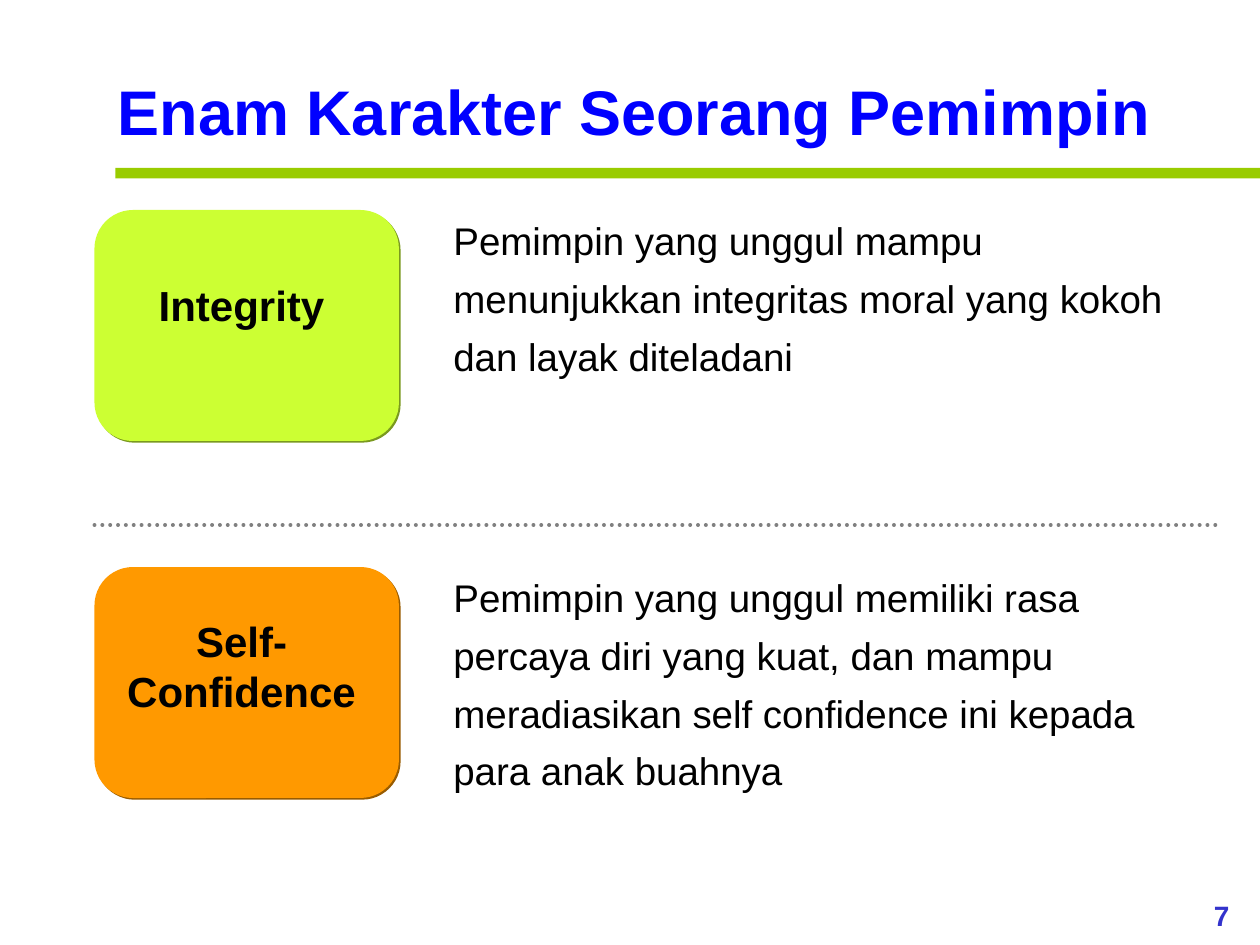
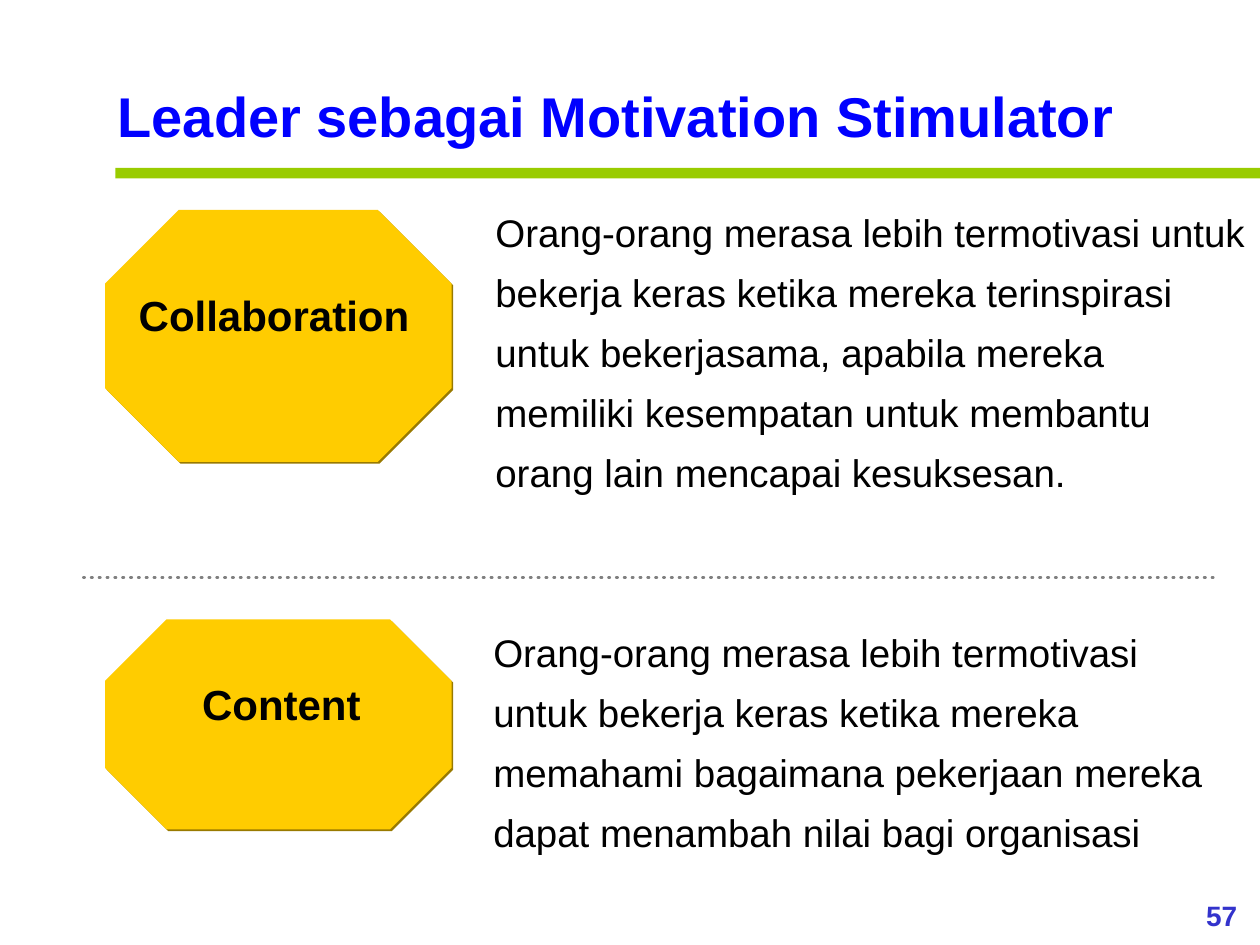
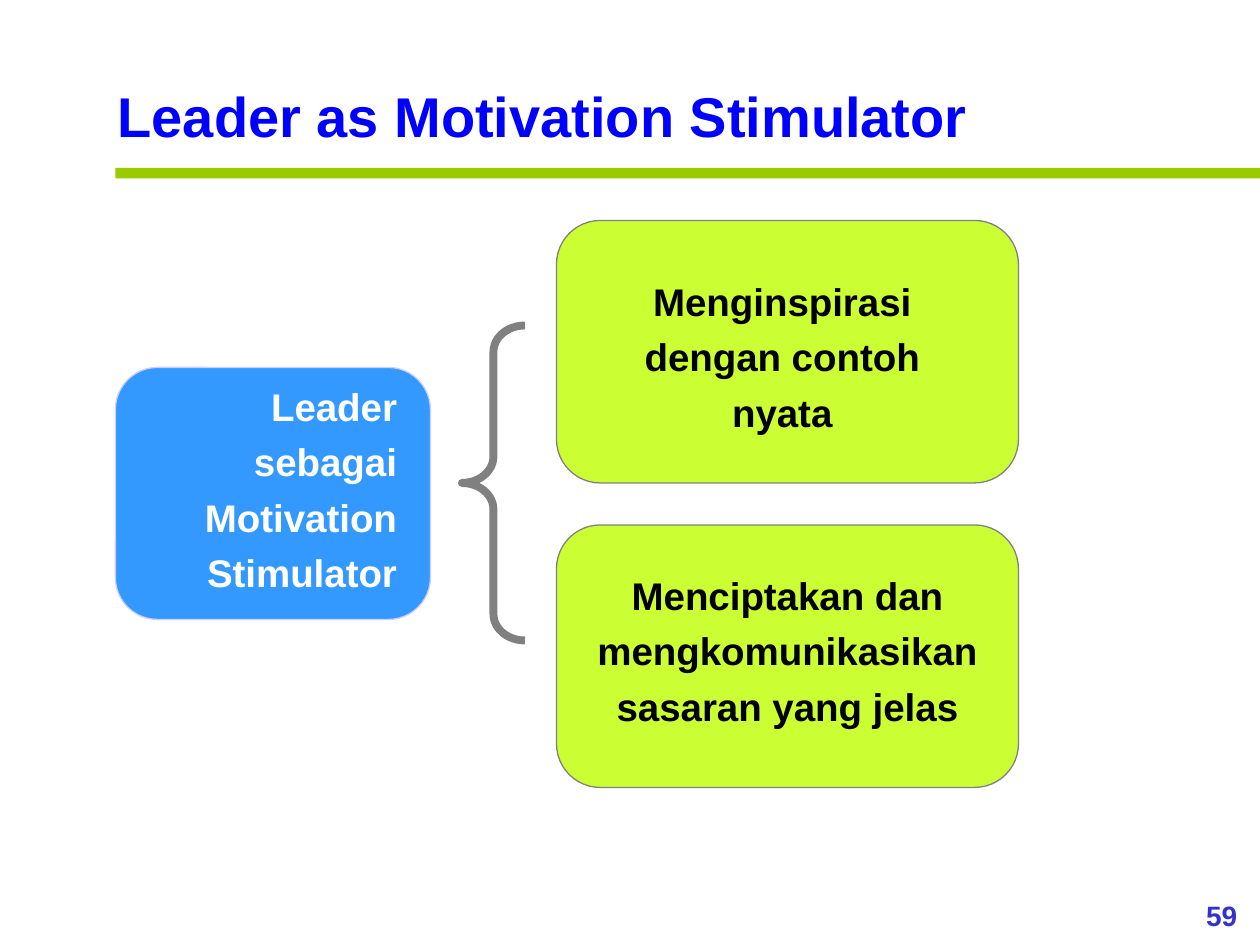
from lxml.etree import SubElement
from pptx import Presentation
from pptx.dml.color import RGBColor
from pptx.enum.dml import MSO_LINE
from pptx.enum.shapes import MSO_CONNECTOR, MSO_SHAPE
from pptx.enum.text import MSO_ANCHOR, MSO_AUTO_SIZE, PP_ALIGN
from pptx.oxml.ns import qn
from pptx.util import Inches, Pt

FONT = "Arial"
HUES = {
    "title": "0000FF", "band": "99CC00", "number": "3333CC",
    "ink": "000000", "white": "FFFFFF", "grey": "808080", "edge": "CCCCFF",
    "lime": "CCFF33", "lime shade": "7A991F",
    "orange": "FF9900", "orange shade": "995C00",
    "gold": "FFCC00", "gold shade": "997A00",
    "blue": "3399FF",
}
ROUND, OCTA = MSO_SHAPE.ROUNDED_RECTANGLE, MSO_SHAPE.OCTAGON
LEFT, MID, RIGHT = PP_ALIGN.LEFT, PP_ALIGN.CENTER, PP_ALIGN.RIGHT

# All places are left, top, width, height on a grid of twelve steps to the inch.
STEP = Inches(1) / 12
COLS, ROWS = 120, 90
TITLE = (10, 6, 104, 8.75)
BAND = (11, 16, 109, 1)
NUMBER = (112.7, 85, 7.3, 4.4)

PAIRS = [
    {"title": "Enam Karakter Seorang Pemimpin", "size": 36, "number": "7",
     "form": ROUND, "rule": (9, 116, 50), "lead": 1.25,
     "rows": [
         ("lime", (9, 20, 29, 22), "Integrity", (10, 26, 26, 6),
          "Pemimpin yang unggul mampu menunjukkan integritas moral yang "
          "kokoh dan layak diteladani", (42, 19, 74, 18)),
         ("orange", (9, 54, 29, 22), "Self-Confidence", (10, 58, 26, 11),
          "Pemimpin yang unggul memiliki rasa percaya diri yang kuat, dan "
          "mampu meradiasikan self confidence ini kepada para anak buahnya",
          (42, 53, 74, 23)),
     ]},
    {"title": "Leader sebagai Motivation Stimulator", "size": 32, "number": "57",
     "form": OCTA, "rule": (8, 116, 55), "lead": 1.3,
     "rows": [
         ("gold", (10, 20, 33, 24), "Collaboration", (11.1, 27, 30, 6),
          "Orang-orang merasa lebih termotivasi untuk bekerja keras ketika "
          "mereka terinspirasi untuk bekerjasama, apabila mereka memiliki "
          "kesempatan untuk membantu orang lain mencapai kesuksesan.",
          (46, 18, 74, 30)),
         ("gold", (10, 59, 33, 20), "Content", (11.8, 64, 30, 6),
          "Orang-orang merasa lebih termotivasi untuk bekerja keras ketika "
          "mereka memahami bagaimana pekerjaan mereka dapat menambah nilai "
          "bagi organisasi", (45.8, 58, 70.2, 24)),
     ]},
]
TREE = {
    "title": "Leader as Motivation Stimulator", "size": 32, "number": "59",
    "brace": (44, 31, 6, 30), "lead": 1.2,
    "cards": [
        ("lime", "grey", (53, 21, 44, 25), "Menginspirasi dengan contoh nyata",
         (58, 25, 33, 17), "ink", MID),
        ("blue", "edge", (11, 35, 30, 24), "Leader sebagai Motivation Stimulator",
         (11, 35, 28, 22.3), "white", RIGHT),
        ("lime", "grey", (53, 50, 44, 25),
         "Menciptakan dan mengkomunikasikan sasaran yang jelas",
         (55, 53, 40, 17), "ink", MID),
    ],
}


def hue(name):
    return RGBColor.from_string(HUES[name])


def grid(*steps):
    return [round(step * STEP) for step in steps]


def style(frame, text, size, color, bold=False, align=LEFT, lead=None):
    """Fill a text frame with one formatted paragraph."""
    frame.word_wrap = True
    frame.auto_size = MSO_AUTO_SIZE.NONE
    para = frame.paragraphs[0]
    para.text = text
    para.alignment = align
    if lead:
        para.line_spacing = lead
    font = para.font
    font.name, font.size, font.bold = FONT, Pt(size), bold
    font.color.rgb = hue(color)


def write(slide, box, *args, **opts):
    style(slide.shapes.add_textbox(*grid(*box)).text_frame, *args, **opts)


def draw(slide, form, box, fill=None, line=None, width=0.75):
    """Add a flat preset shape."""
    shape = slide.shapes.add_shape(form, *grid(*box))
    shape.shadow.inherit = False
    if fill:
        shape.fill.solid()
        shape.fill.fore_color.rgb = hue(fill)
    else:
        shape.fill.background()
    if line:
        shape.line.color.rgb = hue(line)
        shape.line.width = Pt(width)
    else:
        shape.line.fill.background()
    return shape


def shade(shape, color):
    """Give a shape a hard shadow down to the right."""
    effects = shape.element.spPr.find(qn("a:effectLst"))
    outer = SubElement(effects, qn("a:outerShdw"), dist=str(Pt(1.4)),
                       dir="2700000", algn="ctr", rotWithShape="0")
    SubElement(outer, qn("a:srgbClr"), val=HUES[color])


def dots(slide, left, right, top):
    """Add the dotted rule between two rows."""
    start, end, high = grid(left, right, top)
    rule = slide.shapes.add_connector(MSO_CONNECTOR.STRAIGHT, start, high, end, high)
    rule.line.color.rgb = hue("grey")
    rule.line.width = Pt(2.25)
    rule.line.dash_style = MSO_LINE.ROUND_DOT
    props = rule.element.spPr
    props.find(qn("a:ln")).set("cap", "rnd")
    SubElement(props, qn("a:effectLst"))


def start(deck, data):
    """Add a slide with title, band and number."""
    slide = deck.slides.add_slide(deck.slide_layouts[5])
    title = slide.shapes.title
    title.left, title.top, title.width, title.height = grid(*TITLE)
    style(title.text_frame, data["title"], data["size"], "title", bold=True)
    title.text_frame.vertical_anchor = MSO_ANCHOR.BOTTOM
    draw(slide, MSO_SHAPE.RECTANGLE, BAND, "band")
    write(slide, NUMBER, data["number"], 16, "number", bold=True, align=MID)
    return slide


def pair(deck, data):
    slide = start(deck, data)
    for color, box, label, spot, text, area in data["rows"]:
        shade(draw(slide, data["form"], box, color), color + " shade")
        write(slide, spot, label, 24, "ink", bold=True, align=MID)
        write(slide, area, text, 22, "ink", lead=data["lead"])
    dots(slide, *data["rule"])


def tree(deck, data):
    slide = start(deck, data)
    for fill, line, box, text, area, color, align in data["cards"]:
        draw(slide, ROUND, box, fill, line)
        write(slide, area, text, 22, color, bold=True, align=align,
              lead=data["lead"])
    brace = draw(slide, MSO_SHAPE.LEFT_BRACE, data["brace"], line="grey", width=4.5)
    brace.adjustments[0] = 0.42


def main():
    deck = Presentation()
    deck.slide_width, deck.slide_height = grid(COLS, ROWS)
    for data in PAIRS:
        pair(deck, data)
    tree(deck, TREE)
    deck.save("out.pptx")


if __name__ == "__main__":
    main()
